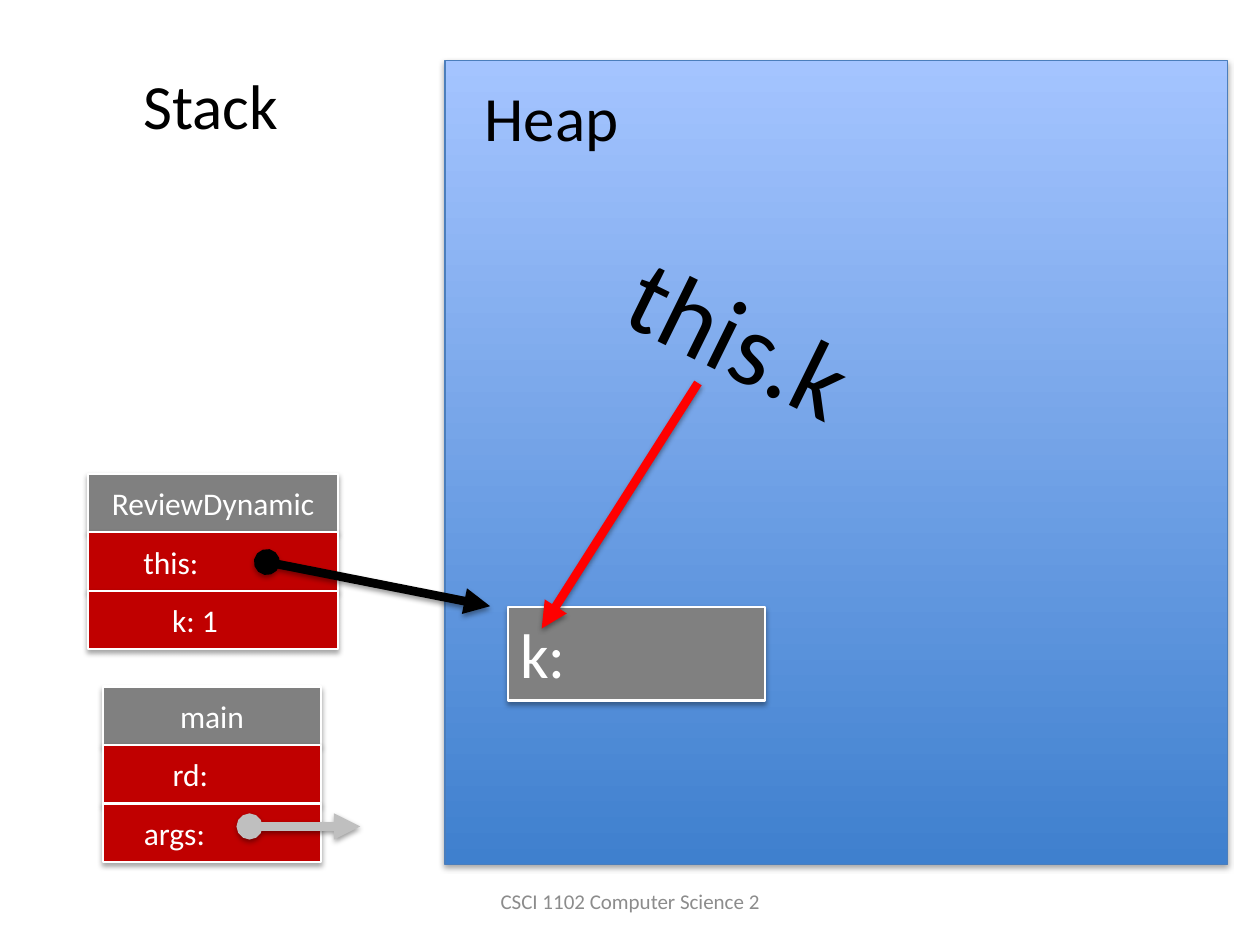
import pptx
import pptx.dml.color
import pptx.enum.shapes
import pptx.enum.text
import pptx.oxml
import pptx.oxml.ns
import pptx.util

Cm, Pt = pptx.util.Cm, pptx.util.Pt
RGB = pptx.dml.color.RGBColor.from_string
RECT = pptx.enum.shapes.MSO_SHAPE.RECTANGLE
STRAIGHT = pptx.enum.shapes.MSO_CONNECTOR.STRAIGHT
ANCHOR, ALIGN = pptx.enum.text.MSO_ANCHOR, pptx.enum.text.PP_ALIGN
NS = pptx.oxml.ns.nsdecls("a")

C = {"black": "000000", "white": "FFFFFF", "grey": "808080", "red": "C00000",
     "heap_dark": "3F80CE", "heap_light": "A4C4FF", "heap_line": "4B7EBC",
     "footer": "8C8C8C", "args": "BFBFBF", "pointer": "FF0000"}


def add_shadow(sp, dist, alpha):
    """Give a shape or connector a soft shadow straight below it."""
    props = sp._element.spPr
    for old in props.findall(pptx.oxml.ns.qn("a:effectLst")):
        props.remove(old)
    props.append(pptx.oxml.parse_xml(
        f'<a:effectLst {NS}><a:outerShdw blurRad="{Pt(3.1)}" dist="{Pt(dist)}" dir="5400000" '
        f'rotWithShape="0"><a:srgbClr val="{C["black"]}"><a:alpha val="{alpha}000"/></a:srgbClr>'
        f'</a:outerShdw></a:effectLst>'))


def write(sp, text, size, color, align=ALIGN.LEFT, **frame):
    """Put one line of text in a shape; frame holds text frame settings."""
    tf = sp.text_frame
    for name, value in frame.items():
        setattr(tf, name, value)
    p = tf.paragraphs[0]
    p.alignment = align
    r = p.add_run()
    r.text = text
    for name, value in {"size": Pt(size), "name": "Calibri"}.items():
        setattr(r.font, name, value)
    r.font.color.rgb = RGB(C[color])


prs = pptx.Presentation()
prs.slide_width, prs.slide_height = Cm(25.4), Cm(19.05)
s = prs.slides.add_slide(prs.slide_layouts[6])

# Heap area
heap = s.shapes.add_shape(RECT, Cm(8.97), Cm(1.22), Cm(15.77), Cm(16.21))
heap.fill.gradient()
heap.fill.gradient_angle = 90
for stop, color in zip(heap.fill.gradient_stops, ("heap_dark", "heap_light")):
    stop.color.rgb = RGB(C[color])
heap.line.color.rgb = RGB(C["heap_line"])
heap.line.width = Pt(0.75)
add_shadow(heap, 1.8, 35)

# Footer and labels: text, left, top, width, height, size, rotation
footer = s.shapes.add_textbox(Cm(8.68), Cm(17.65), Cm(8.05), Cm(1.02))
write(footer, "CSCI 1102 Computer Science 2", 12, "footer", ALIGN.CENTER,
      word_wrap=True, vertical_anchor=ANCHOR.MIDDLE)
for text, x, y, w, h, size, rotation in [
        ("Heap", 9.52, 1.45, 3.23, 1.8, 36, 0),
        ("Stack", 2.64, 1.22, 3.25, 1.8, 36, 0),
        ("this.k", 12.37, 5.38, 5.18, 2.82, 60, 26.2)]:
    label = s.shapes.add_textbox(Cm(x), Cm(y), Cm(w), Cm(h))
    label.rotation = rotation
    write(label, text, size, "black", word_wrap=False,
          auto_size=pptx.enum.text.MSO_AUTO_SIZE.SHAPE_TO_FIT_TEXT)

# Stack frames: left, top, width, name, (variable, text indent)
ROW, MARGIN = 1.18, 0.25
for x, y, w, name, variables in [
        (2.08, 13.84, 4.39, "main", [("rd:", 1.15), ("args:", 0.57)]),
        (1.78, 9.55, 5.03, "ReviewDynamic", [("this:", 0.86), ("k: 1", 1.44)])]:
    frame = s.shapes.add_group_shape()
    for i, (text, indent) in enumerate([(name, 0)] + variables):
        cell = frame.shapes.add_shape(RECT, Cm(x), Cm(y + i * ROW), Cm(w), Cm(ROW))
        cell.fill.solid()
        cell.fill.fore_color.rgb = RGB(C["red" if i else "grey"])
        cell.line.color.rgb = RGB(C["white"])
        cell.line.width = Pt(1.25)
        add_shadow(cell, 1.8, 35)
        write(cell, text, 18, "white", ALIGN.LEFT if i else ALIGN.CENTER,
              vertical_anchor=ANCHOR.MIDDLE, margin_left=Cm(MARGIN + indent))

# Field of the object on the heap
field = s.shapes.add_shape(RECT, Cm(10.24), Cm(12.24), Cm(5.18), Cm(1.88))
field.fill.solid()
field.fill.fore_color.rgb = RGB(C["grey"])
field.line.color.rgb = RGB(C["white"])
field.line.width = Pt(1.5)
add_shadow(field, 1.8, 35)
write(field, "k:", 36, "white", vertical_anchor=ANCHOR.MIDDLE)

# Arrows: start, end, colour, start mark
for start, end, color, head in [
        ((5.03, 16.66), (7.26, 16.66), "args", "oval"),
        ((5.38, 11.33), (9.88, 12.22), "black", "oval"),
        ((14.07, 7.72), (10.92, 12.67), "pointer", "none")]:
    arrow = s.shapes.add_connector(STRAIGHT, *map(Cm, start + end))
    arrow.line.color.rgb = RGB(C[color])
    arrow.line.width = Pt(5)
    for tag, kind in (("headEnd", head), ("tailEnd", "triangle")):
        arrow.line._get_or_add_ln().append(
            pptx.oxml.parse_xml(f'<a:{tag} {NS} type="{kind}"/>'))
    add_shadow(arrow, 1.6, 38)

prs.save("out.pptx")
